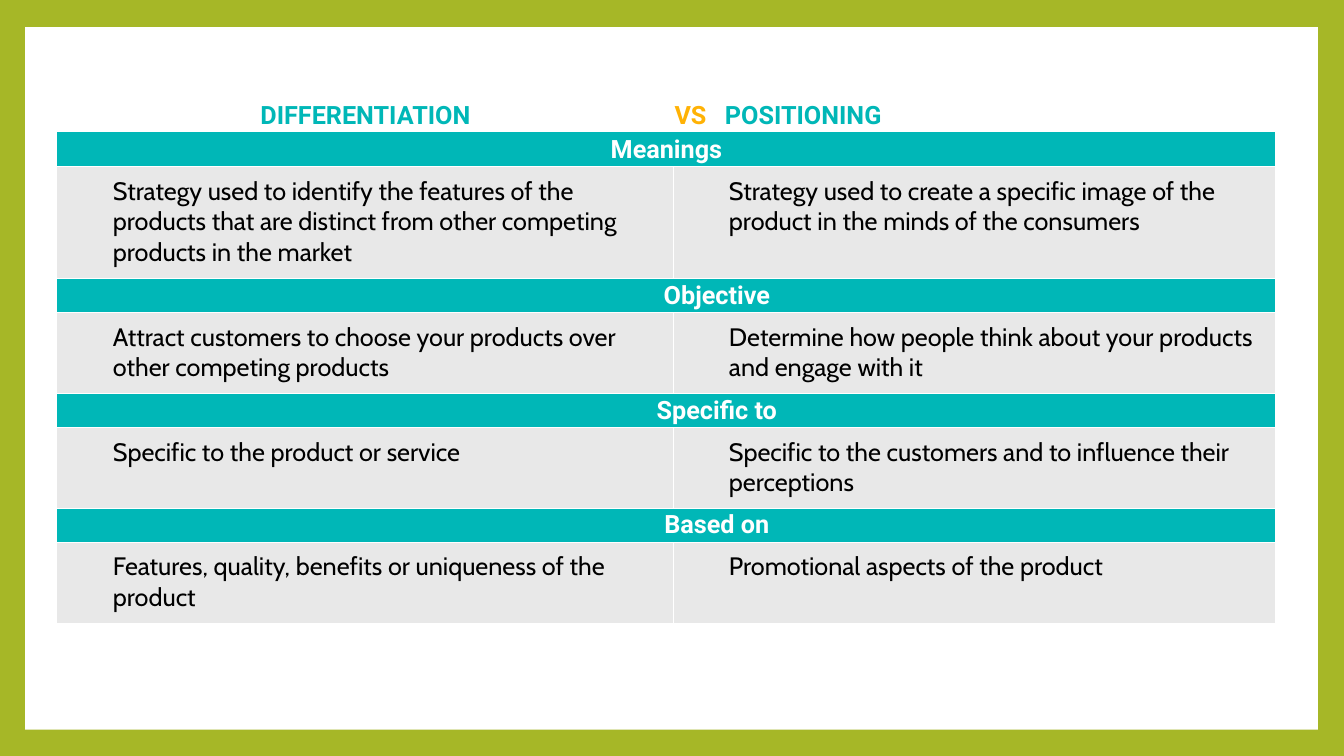
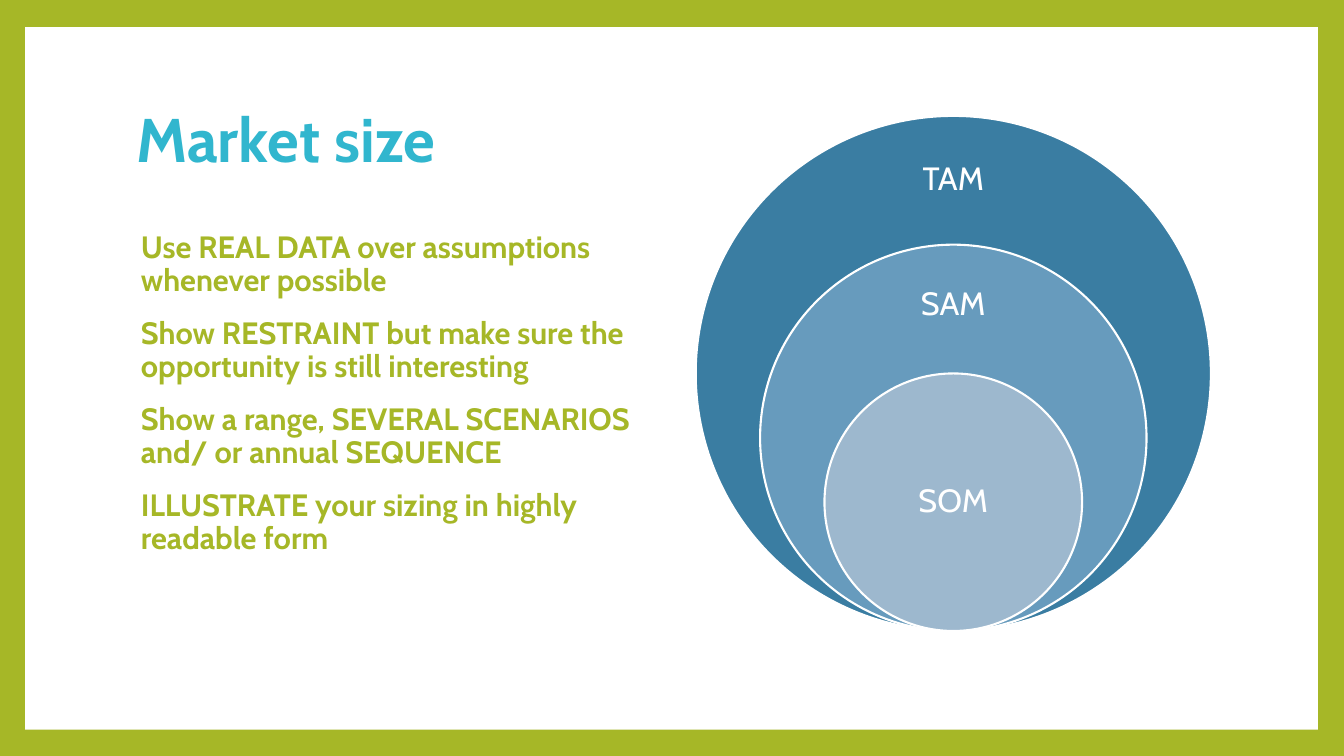
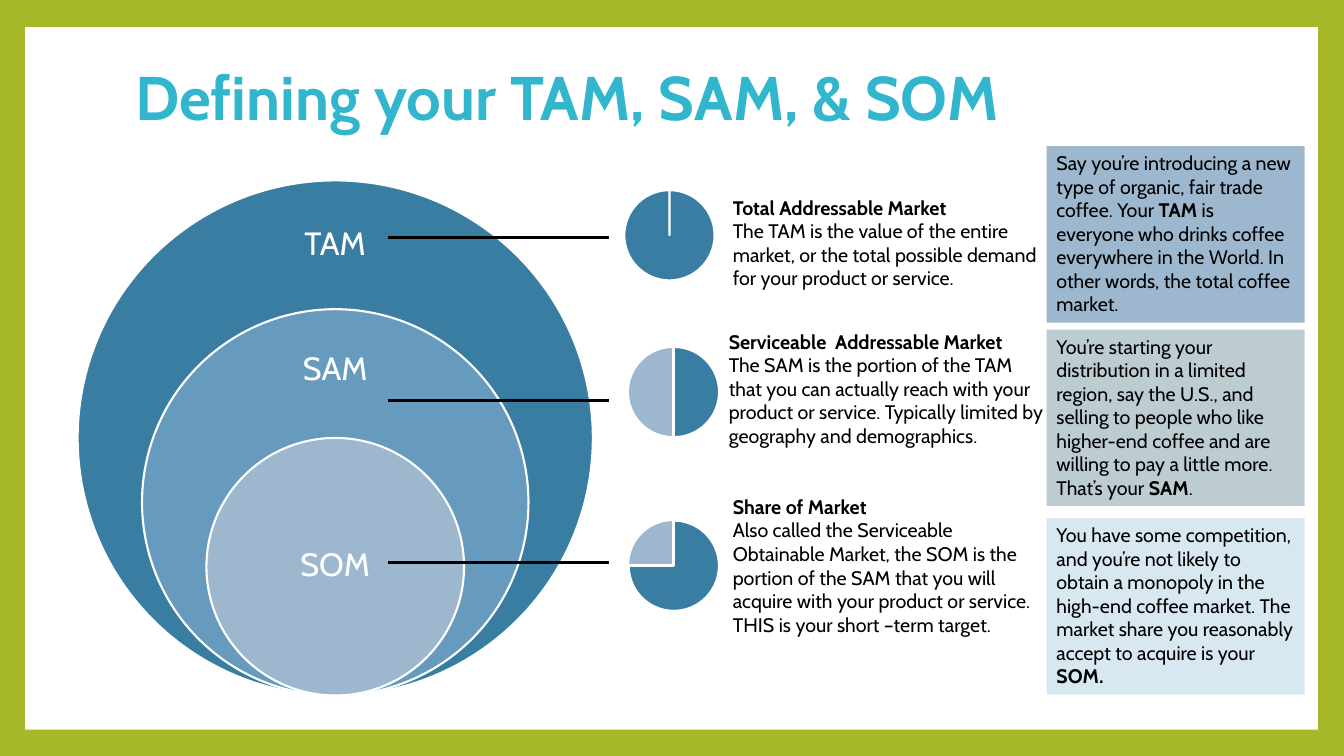
import dataclasses

import lxml.etree
import pptx
import pptx.chart.data
import pptx.dml.color
import pptx.enum.chart
import pptx.enum.shapes
import pptx.enum.text
import pptx.oxml.ns
import pptx.util

Inches = pptx.util.Inches
Pt = pptx.util.Pt
qn = pptx.oxml.ns.qn
Align = pptx.enum.text.PP_ALIGN
Anchor = pptx.enum.text.MSO_ANCHOR
Shape = pptx.enum.shapes.MSO_SHAPE


@dataclasses.dataclass(frozen=True)
class Theme:
    font: str = "Cabin"
    table_font: str = "Roboto"
    green: str = "A6B727"
    title: str = "31B6CE"
    teal: str = "00B7B7"
    amber: str = "FFB205"
    white: str = "FFFFFF"
    black: str = "000000"
    cell: str = "E8E8E8"
    market: tuple = ("3A7DA2", "679BBD", "9DB8CE")
    examples: tuple = ("9DB8CE", "BDCCD1", "D8E8F1")
    title_size: int = 44
    label_size: int = 23
    advice_size: int = 22
    table_size: int = 18
    note_size: int = 14
    chart_size: int = 10
    hairline: float = 0.75
    outline: float = 1.5
    pointer: float = 2.25


THEME = Theme()

COMPARISON = [
    ("Meanings",
     "Strategy used to identify the features of the products that are distinct from other competing products in the market",
     "Strategy used to create a specific image of the product in the minds of the consumers"),
    ("Objective",
     "Attract customers to choose your products over other competing products",
     "Determine how people think about your products and engage with it"),
    ("Specific to",
     "Specific to the product or service",
     "Specific to the customers and to influence their perceptions"),
    ("Based on",
     "Features, quality, benefits or uniqueness of the product",
     "Promotional aspects of the product"),
]

ADVICE = [
    "Use REAL DATA over assumptions whenever possible",
    "Show RESTRAINT but make sure the opportunity is still interesting",
    "Show a range, SEVERAL SCENARIOS and/ or annual SEQUENCE",
    "ILLUSTRATE your sizing in highly readable form",
]

PIES = [(5.58, 1.74, (100, 0, 0, 0)),
        (5.62, 3.30, (50, 50, 0, 0)),
        (5.62, 5.02, (75, 25, 0, 0))]

DEFINITIONS = [
    (7.17, 1.89, 1.04, "Total Addressable Market",
     "The TAM is the value of the entire market, or the total possible demand for your product or service."),
    (7.13, 3.22, 1.28, "Serviceable  Addressable Market",
     "The SAM is the portion of the TAM that you can actually reach with your product or service. Typically limited by geography and demographics."),
    (7.17, 4.86, 1.51, "Share of Market",
     "Also called the Serviceable Obtainable Market, the SOM is the portion of the SAM that you will acquire with your product or service. THIS is your short –term target."),
]

EXAMPLES = [
    (1.45, "Say you’re introducing a new type of organic, fair trade coffee. Your ", "TAM ",
     "is everyone who drinks coffee everywhere in the World. In other words, the total coffee market."),
    (3.27, "You’re starting your distribution in a limited region, say the U.S., and selling to people who like higher-end coffee and are willing to pay a little more. That’s your ",
     "SAM", "."),
    (5.14, "You have some competition, and you’re not likely to obtain a monopoly in the high-end coffee market. The market share you reasonably accept to acquire is your ",
     "SOM.", ""),
]


def rgb(color):
    return pptx.dml.color.RGBColor.from_string(color)


def place(left, top, width, height):
    return [Inches(value) for value in (left, top, width, height)]


def add_span(para, text, size, color=THEME.black, bold=False, font=THEME.font):
    span = para.add_run()
    span.text = text
    span.font.size = Pt(size)
    span.font.color.rgb = rgb(color)
    span.font.bold = bold
    span.font.name = font


def next_para(frame, index):
    return frame.paragraphs[0] if index == 0 else frame.add_paragraph()


def indent(para, inches):
    properties = para._p.get_or_add_pPr()
    properties.set("marL", str(Inches(inches)))
    properties.set("indent", "0")
    return properties


def add_box(page, area, anchor=Anchor.TOP):
    box = page.shapes.add_textbox(*place(*area))
    box.text_frame.word_wrap = True
    box.text_frame.vertical_anchor = anchor
    return box.text_frame


def add_filled(page, kind, area, color, outline=None):
    shape = page.shapes.add_shape(kind, *place(*area))
    shape.shadow.inherit = False
    shape.fill.solid()
    shape.fill.fore_color.rgb = rgb(color)
    if outline:
        shape.line.color.rgb = rgb(outline)
        shape.line.width = Pt(THEME.outline)
    else:
        shape.line.fill.background()
    return shape


def style_master(deck, page):
    master = deck.slide_master
    master.background.fill.solid()
    master.background.fill.fore_color.rgb = rgb(THEME.green)
    panel = add_filled(page, Shape.RECTANGLE, (0.25, 0.27, 12.82, 6.97), THEME.white)
    panel.element.nvSpPr.cNvPr.set("id", "20")
    master.shapes.element.insert(2, panel.element)


def set_title(page, text, left, top):
    title = page.shapes.title
    title.left, title.top, title.width, title.height = place(left, top, 10.8, 1.48)
    title.text_frame.vertical_anchor = Anchor.MIDDLE
    title.text_frame.auto_size = pptx.enum.text.MSO_AUTO_SIZE.NONE
    para = title.text_frame.paragraphs[0]
    para.alignment = Align.LEFT
    para.line_spacing = 0.9
    add_span(para, text, THEME.title_size, THEME.title, True)


def format_cell(cell, color, side=0.05, edge=0.02, anchor=Anchor.MIDDLE, borders=()):
    cell.fill.solid()
    cell.fill.fore_color.rgb = rgb(color)
    cell.margin_left = cell.margin_right = Inches(side)
    cell.margin_top = cell.margin_bottom = Inches(edge)
    cell.vertical_anchor = anchor
    properties = cell._tc.get_or_add_tcPr()
    for index, name in enumerate(borders):
        border = lxml.etree.Element(qn("a:ln" + name), w=str(Pt(THEME.hairline)))
        fill = lxml.etree.SubElement(border, qn("a:solidFill"))
        lxml.etree.SubElement(fill, qn("a:srgbClr"), val=THEME.white)
        properties.insert(index, border)
    return cell.text_frame.paragraphs[0]


def add_heading(para, text, color):
    add_span(para, text, THEME.table_size, color, True, THEME.table_font)


def add_comparison(page):
    heights = [0.19, 0.33] + [0.34, 1.11] + [0.34, 0.8] * 3
    holder = page.shapes.add_table(len(heights), 2, *place(0.57, 0.79, 12.08, sum(heights)))
    next(holder.element.iter(qn("a:tableStyleId"))).text = "{2D5ABB26-0587-4C30-8999-92F81FD0307C}"
    table = holder.table
    table.first_row = table.horz_banding = False
    for row, height in zip(table.rows, heights):
        row.height = Inches(height)
    for column, width in zip(table.columns, (6.11, 5.97)):
        column.width = Inches(width)

    table.cell(0, 0).merge(table.cell(0, 1))
    para = format_cell(table.cell(0, 0), THEME.white)
    lxml.etree.SubElement(para._p, qn("a:endParaRPr"), sz="600")

    para = format_cell(table.cell(1, 0), THEME.white)
    para.alignment = Align.CENTER
    add_heading(para, "DIFFERENTIATION", THEME.teal)
    para = format_cell(table.cell(1, 1), THEME.white, side=0.01)
    tabs = lxml.etree.SubElement(indent(para, 0), qn("a:tabLst"))
    lxml.etree.SubElement(tabs, qn("a:tab"), pos=str(Inches(1.13)), algn="l")
    add_heading(para, "VS\t", THEME.amber)
    add_heading(para, "POSITIONING", THEME.teal)

    for index, (heading, *details) in enumerate(COMPARISON):
        row = 2 + 2 * index
        band = table.cell(row, 0)
        band.merge(table.cell(row, 1))
        para = format_cell(band, THEME.teal, borders="B")
        para.alignment = Align.CENTER
        indent(para, 1 if index else 0)
        add_heading(para, heading, THEME.white)
        for column, detail in enumerate(details):
            para = format_cell(table.cell(row + 1, column), THEME.cell, edge=0.09,
                               anchor=Anchor.TOP, borders=("RT", "LT")[column])
            indent(para, 0.5)
            add_span(para, detail, THEME.table_size)


def add_market_circles(page, left, top):
    outer = 5.11
    for index, color in enumerate(THEME.market):
        size = outer * (1 - index / 4)
        area = (left + (outer - size) / 2, top + outer - size, size, size)
        add_filled(page, Shape.OVAL, area, color, THEME.white)
    for label, middle in (("TAM", 0.64), ("SAM", 1.88), ("SOM", 3.83)):
        area = (left + outer / 2 - 0.9, top + middle - 0.38, 1.8, 0.76)
        para = add_box(page, area, Anchor.MIDDLE).paragraphs[0]
        para.alignment = Align.CENTER
        para.line_spacing = 0.9
        add_span(para, label, THEME.label_size, THEME.white)


def add_advice(page):
    frame = add_box(page, (1.25, 2.25, 5.23, 4.42))
    for index, text in enumerate(ADVICE):
        para = next_para(frame, index)
        indent(para, 0.05)
        para.line_spacing = 0.9
        para.space_before = Pt(14)
        add_span(para, text, THEME.advice_size, THEME.green, True)


def add_pie(page, left, top, values):
    data = pptx.chart.data.CategoryChartData()
    data.categories = ["1", "2", "3", "4"]
    data.add_series("Series 1", values)
    chart = page.shapes.add_chart(pptx.enum.chart.XL_CHART_TYPE.PIE,
                                  *place(left, top, 2.12, 1.18), data).chart
    chart.has_legend = chart.has_title = False
    chart.font.name = THEME.font
    chart.font.size = Pt(THEME.chart_size)
    chart.font.color.rgb = rgb(THEME.black)
    plot = chart.plots[0]
    plot.vary_by_categories = True
    explosion = lxml.etree.Element(qn("c:explosion"), val="1")
    next(chart.element.iter(qn("c:tx"))).addnext(explosion)
    dark, _, light = THEME.market
    for index, color in enumerate((dark, light, dark, dark)):
        style = plot.series[0].points[index].format
        style.fill.solid()
        style.fill.fore_color.rgb = rgb(color)
        style.line.color.rgb = rgb(THEME.white)
        style.line.width = Pt(THEME.outline)


def add_definition(page, left, top, height, term, meaning):
    frame = add_box(page, (left, top, 3.33, height))
    for index, text in enumerate((term, meaning)):
        add_span(next_para(frame, index), text, THEME.note_size, bold=index == 0)


def add_pointer(page, top):
    line = page.shapes.add_connector(pptx.enum.shapes.MSO_CONNECTOR.STRAIGHT,
                                     Inches(3.85), Inches(top), Inches(6.04), Inches(top))
    line.line.color.rgb = rgb(THEME.black)
    line.line.width = Pt(THEME.pointer)
    lxml.etree.SubElement(line.element.spPr, qn("a:effectLst"))


def add_example(page, color, top, before, term, after):
    frame = add_filled(page, Shape.RECTANGLE, (10.38, top, 2.56, 1.75), color).text_frame
    frame.word_wrap = True
    frame.vertical_anchor = Anchor.TOP
    para = frame.paragraphs[0]
    para.alignment = Align.LEFT
    for text in filter(None, (before, term, after)):
        add_span(para, text, THEME.note_size, bold=text == term)


def main():
    deck = pptx.Presentation()
    deck.slide_width, deck.slide_height = Inches(13.33), Inches(7.5)
    title_only, blank = deck.slide_layouts[5], deck.slide_layouts[6]

    page = deck.slides.add_slide(blank)
    style_master(deck, page)
    add_comparison(page)

    page = deck.slides.add_slide(title_only)
    set_title(page, "Market size", 1.25, 0.67)
    add_advice(page)
    add_market_circles(page, 6.9, 1.15)

    page = deck.slides.add_slide(title_only)
    set_title(page, "Defining your TAM, SAM, & SOM", 1.24, 0.26)
    add_market_circles(page, 0.77, 1.79)
    for pie in PIES:
        add_pie(page, *pie)
    for definition in DEFINITIONS:
        add_definition(page, *definition)
    for index in range(3):
        add_pointer(page, 2.36 + 1.61 * index)
    for color, example in zip(THEME.examples, EXAMPLES):
        add_example(page, color, *example)

    deck.save("out.pptx")


if __name__ == "__main__":
    main()
